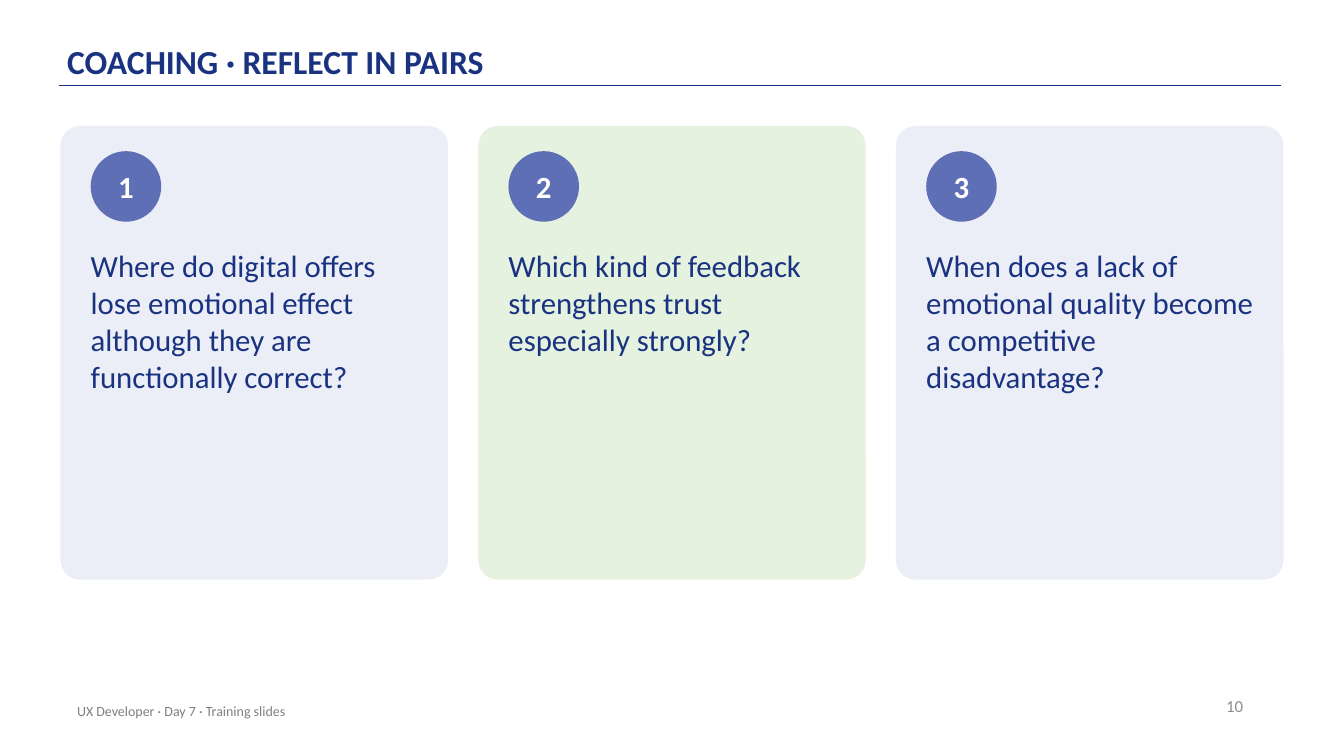
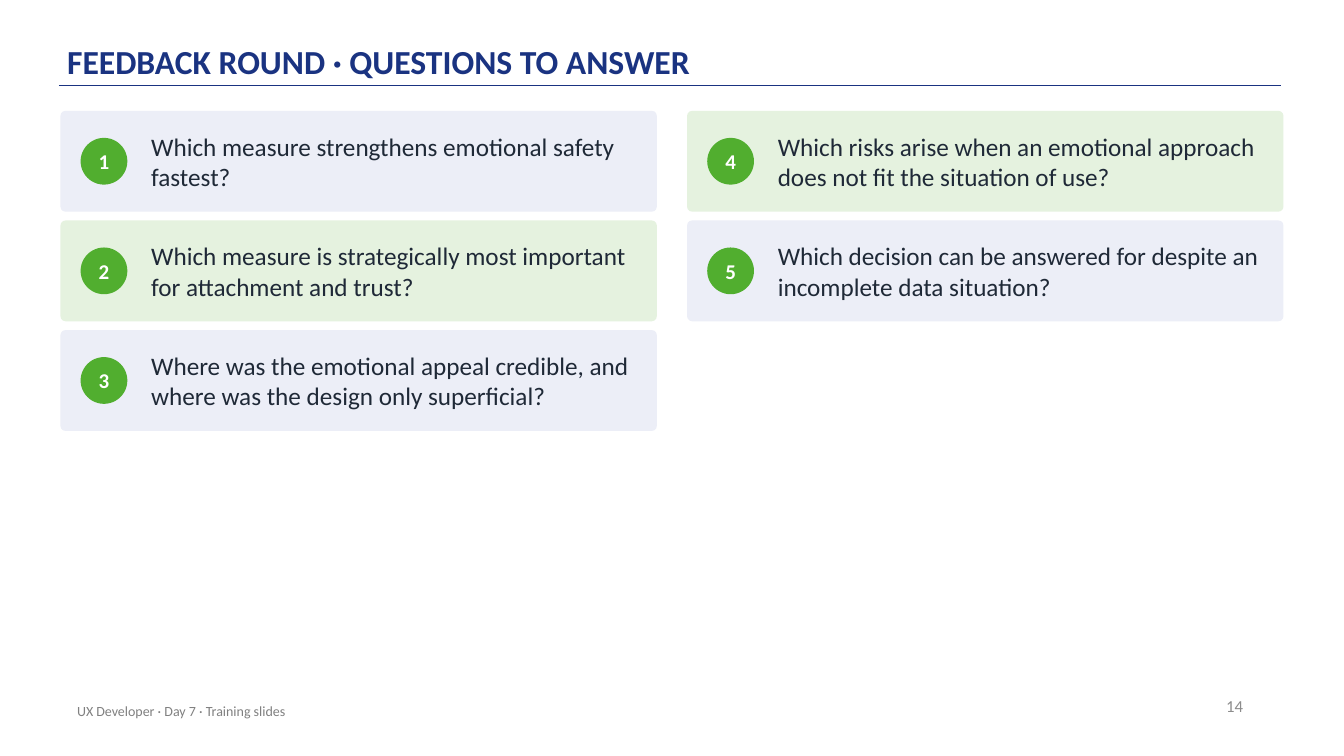
from lxml import etree
from pptx import Presentation
from pptx.dml.color import RGBColor
from pptx.enum.shapes import MSO_CONNECTOR, MSO_SHAPE
from pptx.enum.text import MSO_ANCHOR, MSO_AUTO_SIZE, PP_ALIGN
from pptx.oxml.ns import qn
from pptx.util import Pt

# Shared style
FONT = "Calibri"
NAVY = RGBColor(0x1A, 0x33, 0x81)
INDIGO = RGBColor(0x5F, 0x6F, 0xB5)
GREEN = RGBColor(0x51, 0xAE, 0x2F)
INK = RGBColor(0x1F, 0x29, 0x37)
PALE_BLUE = RGBColor(0xEC, 0xEE, 0xF7)
PALE_GREEN = RGBColor(0xE5, 0xF2, 0xDF)
FOOTER_GREY = RGBColor(0x80, 0x80, 0x80)
NUMBER_GREY = RGBColor(0x8C, 0x8C, 0x8C)
WHITE = RGBColor(0xFF, 0xFF, 0xFF)

LEFT, CONTENT_WIDTH, GAP = 43.2, 873.6, 21.6
FOOTER = "UX Developer · Day 7 · Training slides"

# Content
COACHING_QUESTIONS = [
    "Where do digital offers lose emotional effect although they are "
    "functionally correct?",
    "Which kind of feedback strengthens trust especially strongly?",
    "When does a lack of emotional quality become a competitive disadvantage?",
]
FEEDBACK_QUESTIONS = [
    "Which measure strengthens emotional safety fastest?",
    "Which measure is strategically most important for attachment and trust?",
    "Where was the emotional appeal credible, and where was the design only "
    "superficial?",
    "Which risks arise when an emotional approach does not fit the situation "
    "of use?",
    "Which decision can be answered for despite an incomplete data situation?",
]


def box(x, y, w, h):
    return Pt(x), Pt(y), Pt(w), Pt(h)


def write(sp, text, size, color, bold=False, align=PP_ALIGN.LEFT,
          anchor=MSO_ANCHOR.MIDDLE, inset=(0, 0)):
    """Fill a shape with one paragraph; inset is (horizontal, vertical)."""
    tf = sp.text_frame
    tf.word_wrap = True
    tf.auto_size = MSO_AUTO_SIZE.NONE
    tf.vertical_anchor = anchor
    tf.margin_left = tf.margin_right = Pt(inset[0])
    tf.margin_top = tf.margin_bottom = Pt(inset[1])
    p = tf.paragraphs[0]
    p.text = text
    p.alignment = align
    p.font.name, p.font.size, p.font.bold = FONT, Pt(size), bold
    p.font.color.rgb = color
    return p


def add_text(s, area, text, size, color, **style):
    write(s.shapes.add_textbox(*box(*area)), text, size, color, **style)


def add_filled(s, kind, area, color):
    sp = s.shapes.add_shape(kind, *box(*area))
    sp.shadow.inherit = False
    sp.fill.solid()
    sp.fill.fore_color.rgb = color
    sp.line.fill.background()
    return sp


def add_card(s, index, area):
    color = PALE_GREEN if index % 2 else PALE_BLUE
    add_filled(s, MSO_SHAPE.ROUNDED_RECTANGLE, area, color).adjustments[0] = 0.05


def add_badge(s, index, x, y, diameter, color, size):
    sp = add_filled(s, MSO_SHAPE.OVAL, (x, y, diameter, diameter), color)
    write(sp, str(index + 1), size, WHITE, bold=True, align=PP_ALIGN.CENTER)


def column_width(columns):
    return (CONTENT_WIDTH - (columns - 1) * GAP) / columns


def add_slide(prs, title, number):
    """Title, rule, slide number and footer."""
    s = prs.slides.add_slide(prs.slide_layouts[5])
    sp = s.shapes.title
    sp.left, sp.top, sp.width, sp.height = box(48, 8.64, 792, 51.84)
    p = write(sp, title, 24, NAVY, bold=True, anchor=MSO_ANCHOR.BOTTOM,
              inset=(0, 2.16))
    p.line_spacing = 0.9

    rule = s.shapes.add_connector(MSO_CONNECTOR.STRAIGHT, Pt(42), Pt(61.2),
                                  Pt(915), Pt(61.2))
    rule.line.color.rgb = NAVY
    rule.line.width = Pt(1)
    etree.SubElement(rule._element.spPr, qn("a:effectLst"))

    add_text(s, (679, 489.6, 216, 28.8), str(number), 12, NUMBER_GREY,
             align=PP_ALIGN.RIGHT, inset=(7.2, 3.6))
    add_text(s, (48, 493.2, 482.4, 28.8), FOOTER, 10, FOOTER_GREY,
             inset=(7.2, 3.6))
    return s


def coaching_slide(prs):
    s = add_slide(prs, "COACHING · REFLECT IN PAIRS", 10)
    width = column_width(len(COACHING_QUESTIONS))
    for i, question in enumerate(COACHING_QUESTIONS):
        x = LEFT + i * (width + GAP)
        add_card(s, i, (x, 90, width, 324))
        add_badge(s, i, x + 21.6, 108, 50.4, INDIGO, 22)
        add_text(s, (x + 21.6, 176.4, width - 43.2, 223.2), question, 22, NAVY,
                 anchor=MSO_ANCHOR.TOP)


def feedback_slide(prs):
    s = add_slide(prs, "FEEDBACK ROUND · QUESTIONS TO ANSWER", 14)
    width, height, pitch, badge = column_width(2), 72, 78.3, 33.4
    for i, question in enumerate(FEEDBACK_QUESTIONS):
        column, row = divmod(i, 3)
        x = LEFT + column * (width + GAP)
        y = 79.2 + row * pitch
        add_card(s, i, (x, y, width, height))
        add_badge(s, i, x + 14.4, y + (height - badge) / 2, badge, GREEN, 15)
        add_text(s, (x + 64.8, y, width - 79.2, height), question, 18, INK)


def main():
    prs = Presentation()
    prs.slide_width, prs.slide_height = Pt(960), Pt(540)
    coaching_slide(prs)
    feedback_slide(prs)
    prs.save("out.pptx")


if __name__ == "__main__":
    main()
